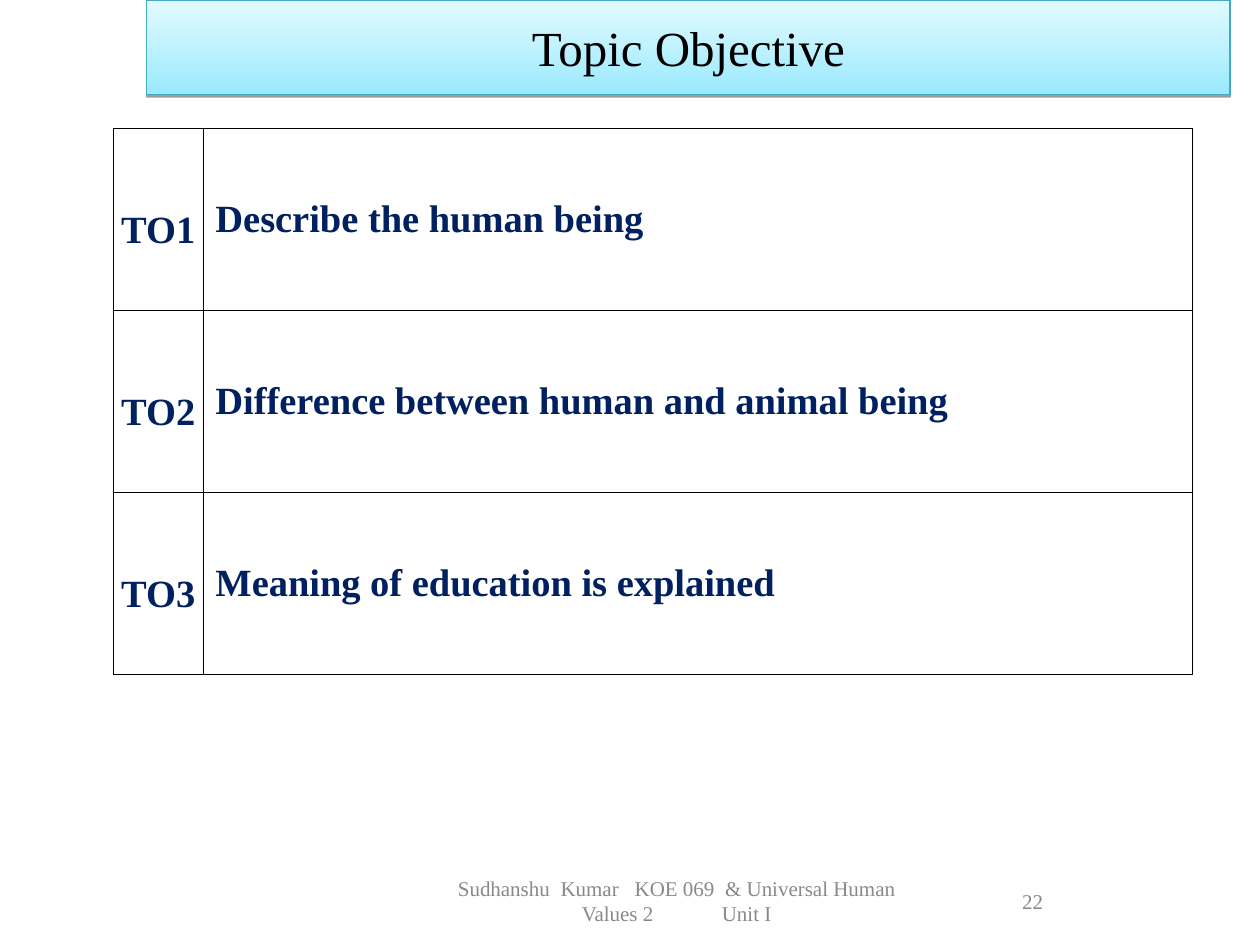
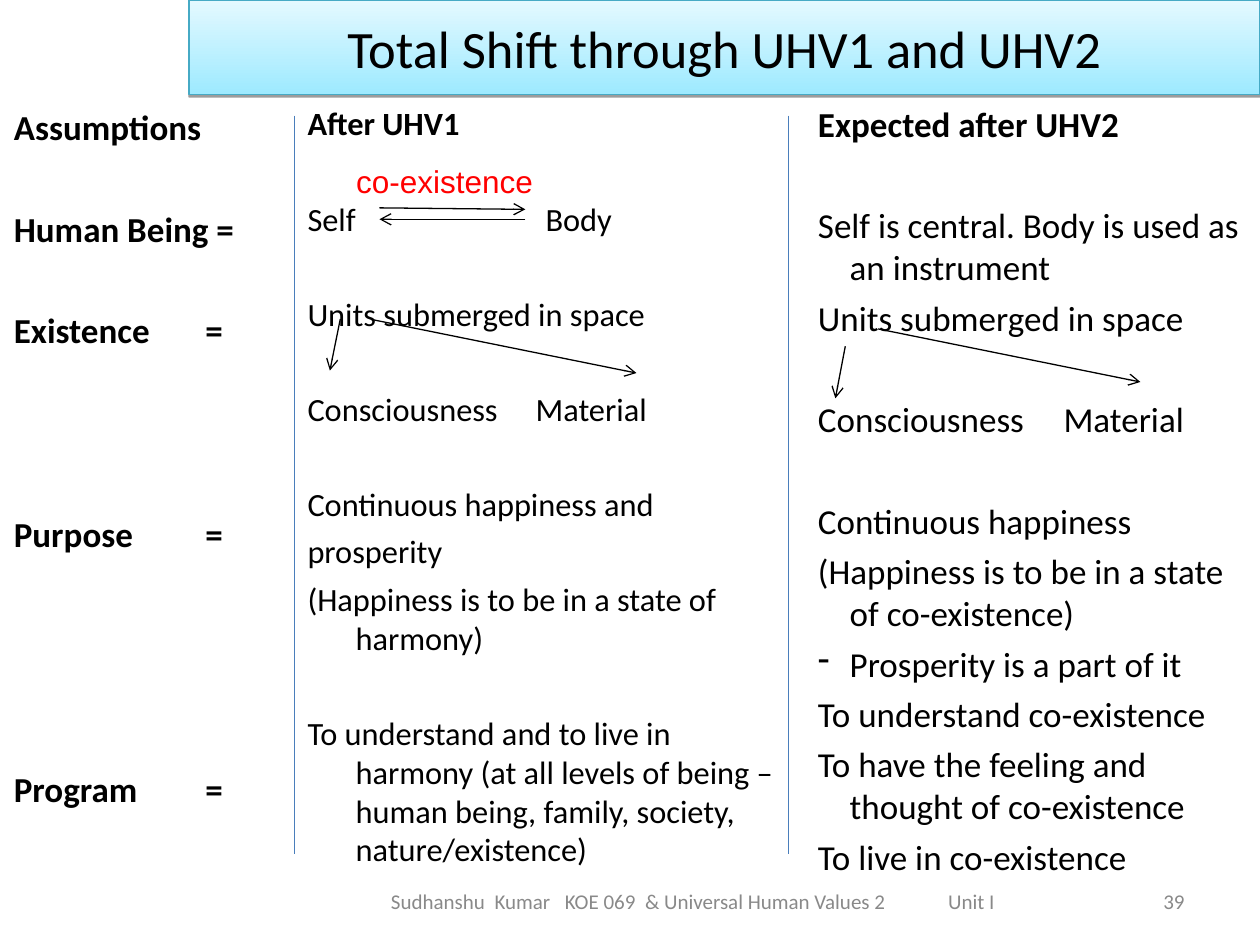
from dataclasses import dataclass
from typing import Optional

from lxml.etree import SubElement
from pptx import Presentation
from pptx.dml.color import RGBColor
from pptx.enum.shapes import MSO_CONNECTOR, MSO_SHAPE
from pptx.enum.text import MSO_ANCHOR, PP_ALIGN
from pptx.oxml import parse_xml
from pptx.oxml.ns import nsdecls, qn
from pptx.util import Cm, Pt

BLACK, GREY, NAVY, RED, BLUE = "000000", "898989", "002060", "FF0000", "4A7EBB"
SERIF, SANS = "Times New Roman", "Calibri"
FOOTER_TOP, FOOTER_HEIGHT, FOOTER_SIZE = 17.65, 1.02, 12
PARAGRAPH_GAP, LINE_FACTOR = 4.8, 1.22

# Footer words, each with the number of extra space widths that follow
FOOTER_PARTS = [
    ("Sudhanshu", 1), ("Kumar", 2), ("KOE 069", 1),
    ("& Universal Human Values 2", 12), ("Unit I", 0),
]


@dataclass
class Box:
    left: float
    top: float
    width: float
    height: float

    def lengths(self) -> tuple:
        return Cm(self.left), Cm(self.top), Cm(self.width), Cm(self.height)


@dataclass
class Frame:
    """Title band, footer and page number of one slide."""
    title: str
    font: str
    title_size: float
    band: Box
    gradient: tuple
    outline: str
    footer_left: float
    footer_width: float
    number: str
    number_left: float
    number_width: float
    space_width: float


@dataclass
class Line:
    text: str
    blanks: int = 0
    tab: Optional[float] = None
    bold: bool = False
    bullet: Optional[str] = None


@dataclass
class Column:
    box: Box
    size: float
    indent: float
    lines: list


@dataclass
class Stroke:
    start: tuple
    end: tuple
    color: str = BLACK
    arrow: bool = True


def rgb(color: str) -> RGBColor:
    return RGBColor.from_string(color)


def add_run(paragraph, text: str, font: str, size: float, color: str, bold: bool = False):
    run = paragraph.add_run()
    run.text = text
    run.font.name, run.font.size, run.font.bold = font, Pt(size), bold
    run.font.color.rgb = rgb(color)
    return run


def add_text_box(slide, box: Box, anchor=MSO_ANCHOR.TOP):
    text_frame = slide.shapes.add_textbox(*box.lengths()).text_frame
    text_frame.word_wrap = True
    text_frame.vertical_anchor = anchor
    return text_frame


def add_band(slide, frame: Frame) -> None:
    shape = slide.shapes.add_shape(MSO_SHAPE.RECTANGLE, *frame.band.lengths())
    shape.fill.gradient()
    shape.fill.gradient_angle = 90
    for stop, color in zip(shape.fill.gradient_stops, frame.gradient):
        stop.color.rgb = rgb(color)
    shape.line.color.rgb = rgb(frame.outline)
    shape.line.width = Pt(0.75)
    # Hard shadow just below the band
    shape.shadow.inherit = False
    effects = shape._element.spPr.find(qn("a:effectLst"))
    effects.append(parse_xml(
        f'<a:outerShdw {nsdecls("a")} blurRad="0" dist="{Pt(1.6)}" dir="5400000" rotWithShape="0">'
        f'<a:srgbClr val="{BLACK}"><a:alpha val="38000"/></a:srgbClr></a:outerShdw>'))
    text_frame = shape.text_frame
    text_frame.vertical_anchor = MSO_ANCHOR.MIDDLE
    paragraph = text_frame.paragraphs[0]
    paragraph.alignment = PP_ALIGN.CENTER
    add_run(paragraph, frame.title, frame.font, frame.title_size, BLACK)


def add_footer(slide, frame: Frame) -> None:
    box = Box(frame.footer_left, FOOTER_TOP, frame.footer_width, FOOTER_HEIGHT)
    paragraph = add_text_box(slide, box, MSO_ANCHOR.MIDDLE).paragraphs[0]
    paragraph.alignment = PP_ALIGN.CENTER
    for text, extra in FOOTER_PARTS:
        add_run(paragraph, text, frame.font, FOOTER_SIZE, GREY)
        if extra:
            # One space, widened by letter spacing in hundredths of a point
            space = add_run(paragraph, " ", frame.font, FOOTER_SIZE, GREY)
            spacing = round(extra * frame.space_width * FOOTER_SIZE * 100)
            space.font._element.set("spc", str(spacing))

    box = Box(frame.number_left, FOOTER_TOP, frame.number_width, FOOTER_HEIGHT)
    paragraph = add_text_box(slide, box, MSO_ANCHOR.MIDDLE).paragraphs[0]
    paragraph.alignment = PP_ALIGN.RIGHT
    add_run(paragraph, frame.number, frame.font, FOOTER_SIZE, GREY)


def add_framed_slide(presentation, frame: Frame):
    slide = presentation.slides.add_slide(presentation.slide_layouts[6])
    add_band(slide, frame)
    add_footer(slide, frame)
    return slide


def style_cell(cell) -> None:
    cell.fill.background()
    cell.vertical_anchor = MSO_ANCHOR.MIDDLE
    properties = cell._tc.get_or_add_tcPr()
    for position, side in enumerate(("lnL", "lnR", "lnT", "lnB")):
        properties.insert(position, parse_xml(
            f'<a:{side} {nsdecls("a")} w="{Pt(0.45)}"><a:solidFill>'
            f'<a:srgbClr val="{BLACK}"/></a:solidFill></a:{side}>'))


def add_objectives(slide, objectives: list) -> None:
    widths, row_height = (1.8, 19.94), 3.67
    box = Box(2.29, 2.59, sum(widths), row_height * len(objectives))
    table = slide.shapes.add_table(len(objectives), len(widths), *box.lengths()).table
    table.first_row = table.horz_banding = False
    for column, width in zip(table.columns, widths):
        column.width = Cm(width)
    for row, objective in enumerate(objectives):
        table.rows[row].height = Cm(row_height)
        code, description = table.cell(row, 0), table.cell(row, 1)
        for cell, text in ((code, f"TO{row + 1}"), (description, objective)):
            style_cell(cell)
            add_run(cell.text_frame.paragraphs[0], text, SERIF, 22, NAVY, True)
        code.margin_left = code.margin_right = Cm(0.13)
        code.text_frame.paragraphs[0].alignment = PP_ALIGN.CENTER
        code.text_frame.paragraphs[0].line_spacing = 1.5
        description.text_frame.paragraphs[0].alignment = PP_ALIGN.JUSTIFY


def add_column(slide, column: Column) -> None:
    text_frame = add_text_box(slide, column.box)
    row_pitch = LINE_FACTOR * column.size + PARAGRAPH_GAP
    for index, line in enumerate(column.lines):
        paragraph = text_frame.add_paragraph() if index else text_frame.paragraphs[0]
        paragraph.space_before = Pt(PARAGRAPH_GAP + line.blanks * row_pitch)
        properties = paragraph._p.get_or_add_pPr()
        if line.tab is None:
            properties.set("marL", str(Cm(column.indent)))
            properties.set("indent", str(-Cm(column.indent)))
        else:
            stops = SubElement(properties, qn("a:tabLst"))
            SubElement(stops, qn("a:tab"), pos=str(Cm(line.tab)), algn="l")
        if line.bullet:
            SubElement(properties, qn("a:buChar"), char=line.bullet)
        add_run(paragraph, line.text, SANS, column.size, BLACK, line.bold)


def add_stroke(slide, stroke: Stroke) -> None:
    points = [Cm(value) for value in (*stroke.start, *stroke.end)]
    connector = slide.shapes.add_connector(MSO_CONNECTOR.STRAIGHT, *points)
    connector.line.color.rgb = rgb(stroke.color)
    connector.line.width = Pt(0.75)
    if stroke.arrow:
        SubElement(connector.line._get_or_add_ln(), qn("a:tailEnd"), type="arrow")
    SubElement(connector._element.spPr, qn("a:effectLst"))


OBJECTIVE_FRAME = Frame(
    "Topic Objective", SERIF, 28, Box(2.96, 0, 21.84, 1.9), ("9BE9FF", "E2FBFF"), "45A9C4",
    8.41, 10.46, "22", 16.84, 4.44, 0.25)
SHIFT_FRAME = Frame(
    "Total Shift through UHV1 and UHV2", SANS, 30, Box(3.81, 0, 21.59, 1.9),
    ("9EEAFF", "E4F9FF"), "46AAC5", 6.98, 13.97, "39", 18.21, 5.92, 0.23)

OBJECTIVES = [
    "Describe the human being",
    "Difference between human and animal being",
    "Meaning of education is explained",
]

EQUALS_TAB = 3.86
COLUMNS = [
    Column(Box(0.03, 2.01, 6.35, 15.54), 20, 0.64, [
        Line("Assumptions", bold=True),
        Line("Human Being =", 1, bold=True),
        Line("Existence\t=", 1, EQUALS_TAB, True),
        Line("Purpose\t=", 3, EQUALS_TAB, True),
        Line("Program\t=", 4, EQUALS_TAB, True),
    ]),
    Column(Box(5.95, 1.96, 10.16, 15.67), 18.5, 0.97, [
        Line("After UHV1", bold=True),
        Line("Self\tBody", 1, 4.8),
        Line("Units submerged in space", 1),
        Line("Consciousness\tMaterial", 1, 4.6),
        Line("Continuous happiness and", 1),
        Line("prosperity"),
        Line("(Happiness is to be in a state of harmony)"),
        Line("To understand and to live in harmony (at all levels of being – "
             "human being, family, society, nature/existence)", 1),
    ]),
    Column(Box(16.24, 1.94, 9.3, 15.67), 20, 0.64, [
        Line("Expected after UHV2", bold=True),
        Line("Self is central. Body is used as an instrument", 1),
        Line("Units submerged in space"),
        Line("Consciousness\tMaterial", 1, 4.95),
        Line("Continuous happiness", 1),
        Line("(Happiness is to be in a state of co-existence)"),
        Line("Prosperity is a part of it", bullet="-"),
        Line("To understand co-existence"),
        Line("To have the feeling and thought of co-existence"),
        Line("To live in co-existence"),
    ]),
]

DIVIDERS = [Stroke((x, 2.33), (x, 17.22), BLUE, False) for x in (5.93, 15.89)]
ARROWS = [
    # Self and Body, both ways
    Stroke((7.65, 4.19), (10.59, 4.22)),
    Stroke((10.59, 4.42), (7.65, 4.42)),
    # Units to consciousness and material, in each column
    Stroke((6.86, 6.43), (6.65, 7.47)),
    Stroke((7.54, 6.45), (12.83, 7.52)),
    Stroke((17.04, 6.98), (16.84, 8.03)),
    Stroke((17.7, 6.63), (22.99, 7.7)),
]


def main() -> None:
    presentation = Presentation()
    presentation.slide_width, presentation.slide_height = Cm(25.4), Cm(19.05)

    # Topic objectives
    add_objectives(add_framed_slide(presentation, OBJECTIVE_FRAME), OBJECTIVES)

    # Comparison of assumptions
    slide = add_framed_slide(presentation, SHIFT_FRAME)
    for column in COLUMNS:
        add_column(slide, column)
    for stroke in DIVIDERS + ARROWS:
        add_stroke(slide, stroke)

    # Label above the double arrow, wide enough for one line
    label = add_text_box(slide, Box(6.93, 3.15, 4.6, 1.02))
    add_run(label.paragraphs[0], "co-existence", "Arial", 18, RED)

    presentation.save("out.pptx")


if __name__ == "__main__":
    main()
